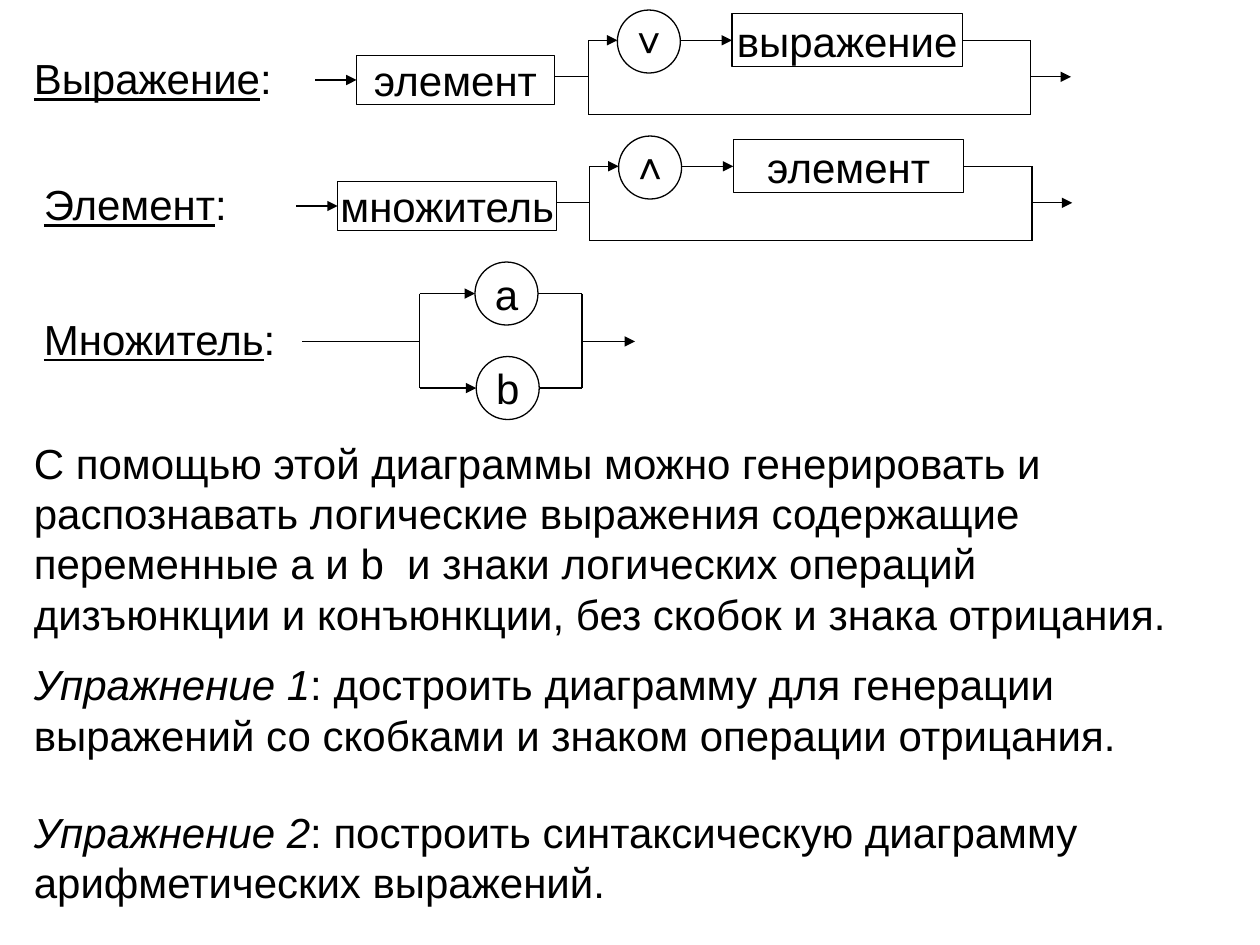
from dataclasses import dataclass
from typing import Optional

from lxml import etree
from pptx import Presentation
from pptx.dml.color import RGBColor
from pptx.enum import shapes, text
from pptx.oxml import ns
from pptx.util import Inches, Pt

BLACK = RGBColor(0x00, 0x00, 0x00)
FONT = "Arial"
FONT_SIZE = Pt(24)
LINE_WIDTH = Pt(0.75)
CIRCLE = 0.5
RECT = shapes.MSO_SHAPE.RECTANGLE
OVAL = shapes.MSO_SHAPE.OVAL
LEFT_SIDE, RIGHT_SIDE = 1, 3


@dataclass(frozen=True)
class Symbol:
    label: str
    left: float
    top: float
    width: float = CIRCLE
    height: float = CIRCLE
    kind: shapes.MSO_SHAPE = OVAL

    @property
    def right(self) -> float:
        return self.left + self.width

    @property
    def middle(self) -> float:
        return self.top + self.height / 2


@dataclass(frozen=True)
class Rule:
    first: str
    first_left: float
    first_width: float
    operator: str
    second: str
    shift: float
    top: float


@dataclass(frozen=True)
class Passage:
    left: float
    top: float
    width: float
    height: float
    lead: str
    rest: str
    underline: Optional[bool] = None
    italic: Optional[bool] = None


RULES = [
    Rule("элемент", 2.83, 1.57, "˅", "выражение", 0, 0),
    Rule("множитель", 2.68, 1.74, "˄", "элемент", 0.01, 1),
]

PASSAGES = [
    Passage(0.17, 0.37, 2.67, 0.5, "Выражение", ":", underline=True),
    Passage(0.25, 1.37, 1.83, 0.5, "Элемент", ":", underline=True),
    Passage(0.25, 2.44, 2.08, 0.5, "Множитель", ":", underline=True),
    Passage(0.17, 3.42, 9.58, 1.7, "",
            "С помощью этой диаграммы можно генерировать и распознавать "
            "логические выражения содержащие переменные a и b  и знаки "
            "логических операций дизъюнкции и конъюнкции, без скобок и "
            "знака отрицания."),
    Passage(0.17, 5.18, 9.25, 0.9, "Упражнение 1",
            ": достроить диаграмму для генерации выражений со скобками "
            "и знаком операции отрицания.", italic=True),
    Passage(0.17, 6.35, 9.25, 0.9, "Упражнение 2",
            ": построить синтаксическую диаграмму арифметических выражений.",
            italic=True),
]


def set_font(paragraph) -> None:
    paragraph.font.name = FONT
    paragraph.font.size = FONT_SIZE
    paragraph.font.color.rgb = BLACK


def draw_symbol(group, symbol: Symbol):
    node = group.shapes.add_shape(
        symbol.kind, Inches(symbol.left), Inches(symbol.top),
        Inches(symbol.width), Inches(symbol.height))
    node.shadow.inherit = False
    node.fill.background()
    node.line.color.rgb = BLACK
    node.line.width = LINE_WIDTH
    frame = node.text_frame
    frame.word_wrap = False
    frame.vertical_anchor = text.MSO_ANCHOR.MIDDLE
    label = frame.paragraphs[0]
    label.text = symbol.label
    label.alignment = text.PP_ALIGN.CENTER
    set_font(label)
    return node


def draw_wire(group, x1: float, y1: float, x2: float, y2: float,
              arrow: bool = False, source=None, target=None) -> None:
    wire = group.shapes.add_connector(
        shapes.MSO_CONNECTOR.STRAIGHT,
        Inches(x1), Inches(y1), Inches(x2), Inches(y2))
    wire.line.color.rgb = BLACK
    wire.line.width = LINE_WIDTH
    if arrow:
        etree.SubElement(wire.line._get_or_add_ln(), ns.qn("a:tailEnd"),
                         type="triangle")
    etree.SubElement(wire._element.spPr, ns.qn("a:effectLst"))
    if source is not None:
        wire.begin_connect(source, RIGHT_SIDE)
    if target is not None:
        wire.end_connect(target, LEFT_SIDE)


def draw_rule(slide, rule: Rule) -> None:
    group = slide.shapes.add_group_shape()
    first = Symbol(rule.first, rule.first_left, rule.top + 0.44,
                   rule.first_width, 0.39, RECT)
    operator = Symbol(rule.operator, 4.9 + rule.shift, rule.top + 0.08)
    second = Symbol(rule.second, 5.81 + rule.shift, rule.top + 0.11,
                    1.83, 0.42, RECT)
    first_box = draw_symbol(group, first)
    draw_symbol(group, operator)
    second_box = draw_symbol(group, second)

    fork, join = 4.67 + rule.shift, 8.18 + rule.shift
    upper, axis, lower = second.middle, rule.top + 0.61, rule.top + 0.91
    draw_wire(group, first.left - 0.33, first.middle, first.left, first.middle,
              arrow=True, target=first_box)
    draw_wire(group, first.right, axis, fork, axis)
    draw_wire(group, fork, upper, fork, lower)
    draw_wire(group, fork, upper, operator.left, upper, arrow=True)
    draw_wire(group, operator.right, upper, second.left, upper,
              arrow=True, target=second_box)
    draw_wire(group, second.right, upper, join, upper, source=second_box)
    draw_wire(group, fork, lower, join, lower)
    draw_wire(group, join, lower, join, upper)
    draw_wire(group, join, axis, join + 0.32, axis, arrow=True)


def draw_factor(slide) -> None:
    group = slide.shapes.add_group_shape()
    fork, join, axis = 3.33, 4.62, 2.71
    variables = [Symbol("a", 3.77, 2.08), Symbol("b", 3.78, 2.83)]
    for variable in variables:
        draw_symbol(group, variable)
        draw_wire(group, fork, variable.middle, variable.left, variable.middle,
                  arrow=True)
        draw_wire(group, variable.right, variable.middle, join, variable.middle)
    for x in (fork, join):
        draw_wire(group, x, variables[0].middle, x, variables[-1].middle)
    draw_wire(group, 2.4, axis, fork, axis)
    draw_wire(group, join, axis, 5.04, axis, arrow=True)


def draw_passage(slide, passage: Passage) -> None:
    box = slide.shapes.add_textbox(
        Inches(passage.left), Inches(passage.top),
        Inches(passage.width), Inches(passage.height))
    box.text_frame.word_wrap = True
    paragraph = box.text_frame.paragraphs[0]
    if passage.lead:
        lead = paragraph.add_run()
        lead.text = passage.lead
        lead.font.underline = passage.underline
        lead.font.italic = passage.italic
    paragraph.add_run().text = passage.rest
    set_font(paragraph)


def main() -> None:
    deck = Presentation()
    deck.slide_width, deck.slide_height = Inches(10), Inches(7.5)
    slide = deck.slides.add_slide(deck.slide_layouts[6])
    for rule in RULES:
        draw_rule(slide, rule)
    draw_factor(slide)
    for passage in PASSAGES:
        draw_passage(slide, passage)
    deck.save("out.pptx")


if __name__ == "__main__":
    main()
